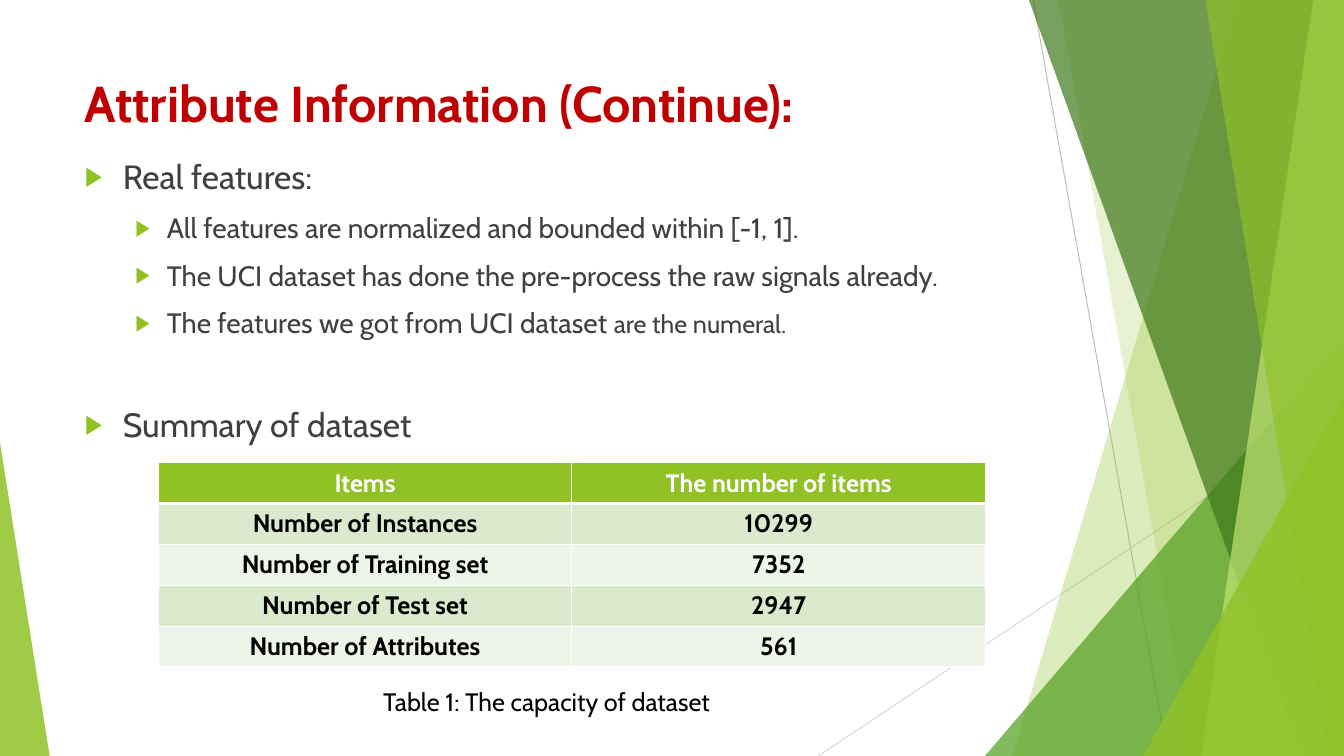
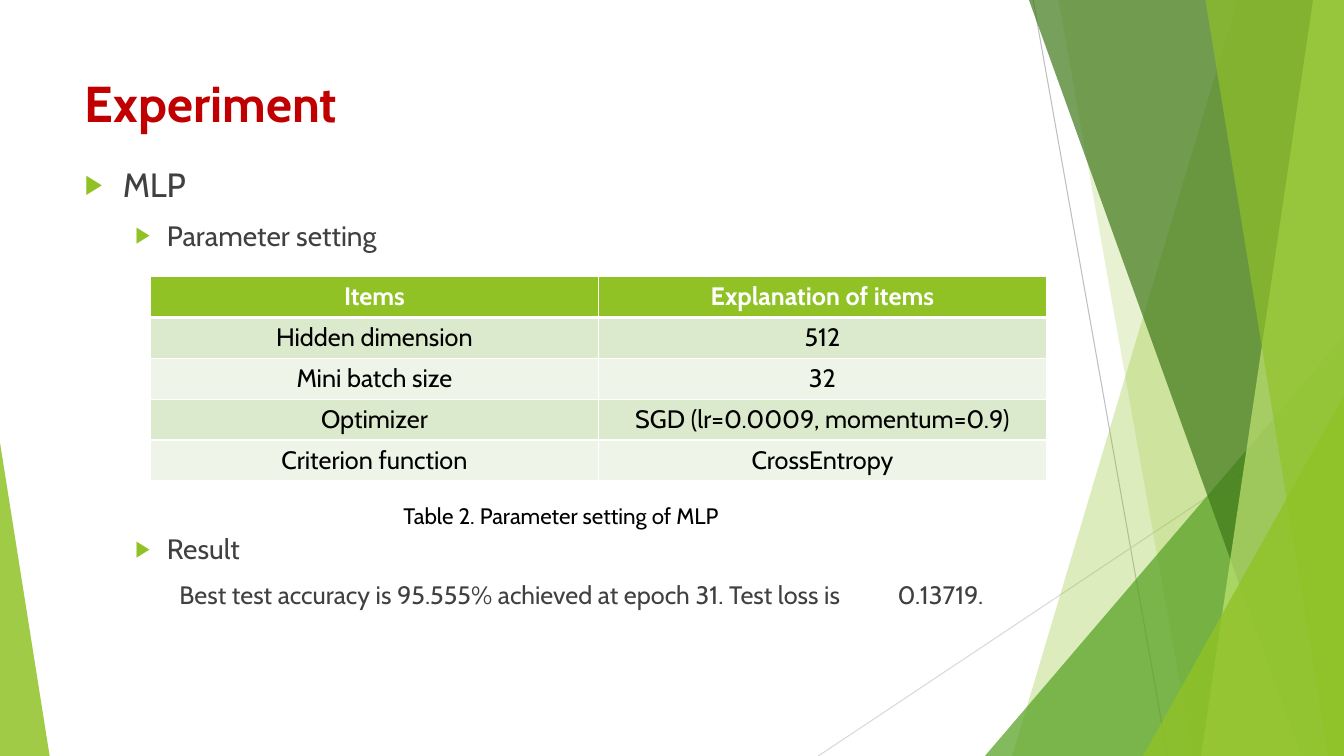
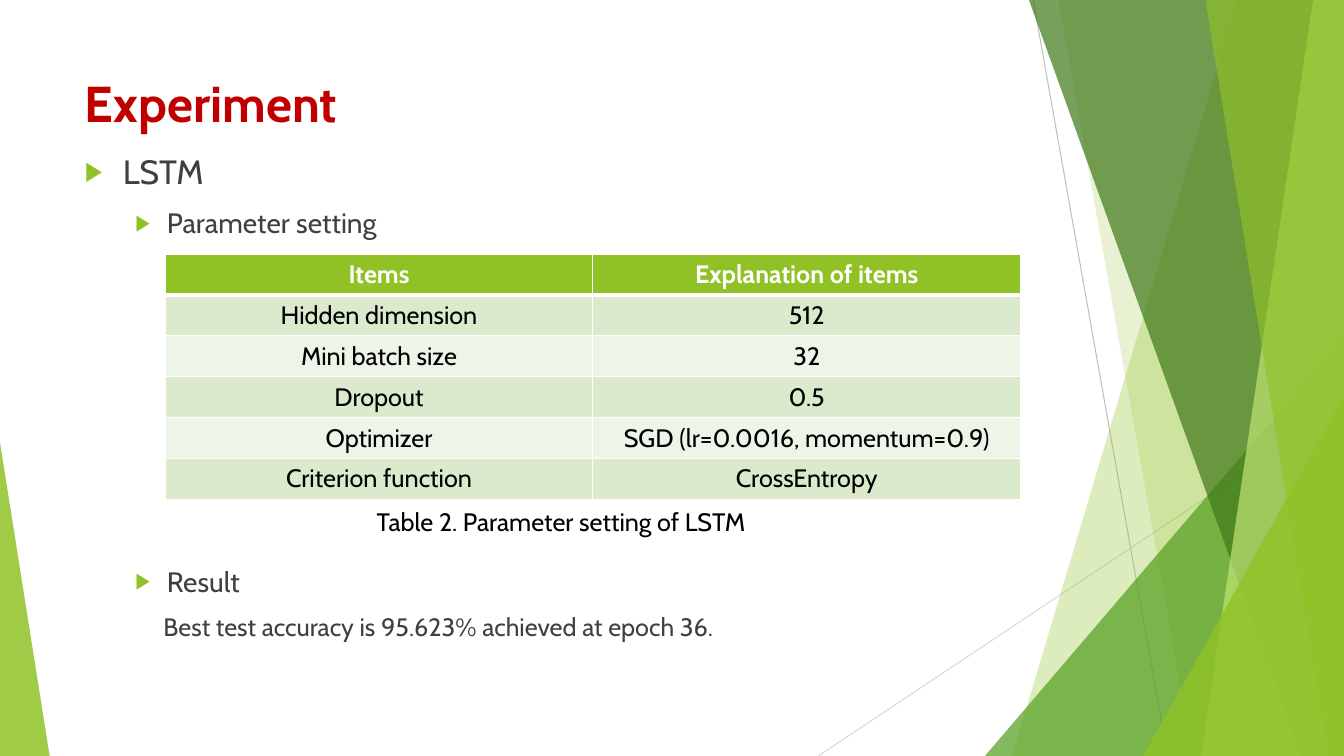
from dataclasses import dataclass

import lxml.etree
import pptx
import pptx.dml.color
import pptx.enum.shapes
import pptx.enum.text
import pptx.oxml.ns
import pptx.presentation
import pptx.slide
import pptx.table
import pptx.util

Pt = pptx.util.Pt
RGBColor = pptx.dml.color.RGBColor
qn = pptx.oxml.ns.qn

LIME = RGBColor(0x90, 0xC2, 0x26)
LEAF = RGBColor(0x54, 0xA0, 0x21)
PINE = RGBColor(0x3F, 0x78, 0x19)
PALE = RGBColor(0xC0, 0xE4, 0x74)
MINT = RGBColor(0xDB, 0xE9, 0xCD)
MIST = RGBColor(0xEE, 0xF4, 0xE8)
RED = RGBColor(0xC0, 0x00, 0x00)
INK = RGBColor(0x40, 0x40, 0x40)
BLACK = RGBColor(0x00, 0x00, 0x00)
WHITE = RGBColor(0xFF, 0xFF, 0xFF)
GRAY = RGBColor(0xBF, 0xBF, 0xBF)
SILVER = RGBColor(0xD9, 0xD9, 0xD9)

FONT = "Cabin"
WIDE, TALL = 960, 540
LEFT, SPAN = 53.5, 677
ROW = 29.2
HANG = ((27, -27), (58.5, -22.5))


@dataclass
class Ray:
    x1: float
    y1: float
    x2: float
    y2: float
    color: RGBColor


@dataclass
class Band:
    top: float
    base: float
    color: RGBColor
    alpha: int


@dataclass
class Peak:
    left: float
    top: float
    wide: float
    tall: float
    tip: float
    color: RGBColor
    alpha: int


@dataclass
class Bit:
    text: str
    size: float
    space: float = 0


@dataclass
class Item:
    level: int
    bits: list[Bit]
    before: float = 10
    indent: float | None = None


@dataclass
class Grid:
    left: float
    top: float
    wide: float
    rows: list[tuple[str, str]]
    bold: bool = False


@dataclass
class Note:
    left: float
    top: float
    wide: float
    bit: Bit


@dataclass
class Page:
    title: str
    head: float
    top: float
    tall: float
    items: list[Item]
    grid: Grid
    note: Note


ART = [
    Ray(738, 0, 834, 540, GRAY),
    Ray(960, 290, 584.5, 540, SILVER),
    Band(884, 723, LIME, 30),
    Band(756, 852, LIME, 20),
    Peak(703.5, 240, 256.5, 300, 1, LEAF, 72),
    Band(735, 929.5, PINE, 70),
    Band(938, 858, PALE, 70),
    Band(861, 949, LIME, 65),
    Peak(816.5, 283, 143.5, 257, 1, LIME, 80),
    Peak(0, 316, 35.5, 224, 0, LIME, 85),
]

PAGES = [
    Page(
        "Attribute Information (Continue):", 103.5, 108, 359,
        [
            Item(0, [Bit("Real features:", 24)]),
            Item(1, [Bit("All features are normalized and bounded within [-1, 1].", 20)]),
            Item(1, [Bit("The UCI dataset has done the pre-process the raw signals already.", 20)]),
            Item(1, [Bit("The features we got from UCI dataset ", 20), Bit("are the numeral.", 18)]),
            Item(0, [Bit("Summary of dataset", 24)], 46),
        ],
        Grid(113, 330.5, 591, [
            ("Items", "The number of items"),
            ("Number of Instances", "10299"),
            ("Number of Training set", "7352"),
            ("Number of Test set", "2947"),
            ("Number of Attributes", "561"),
        ], True),
        Note(266.5, 486.5, 453, Bit("Table 1: The capacity of dataset", 18)),
    ),
    Page(
        "Experiment", 54, 113.5, 362,
        [
            Item(0, [Bit("MLP", 24)]),
            Item(1, [Bit("Parameter setting", 20)]),
            Item(1, [Bit("Result", 20)], 200),
            Item(2, [
                Bit("Best test accuracy is 95.555% achieved at epoch 31. Test loss is", 18),
                Bit(" ", 18, 37),
                Bit("0.13719.", 18),
            ], 10, 67.5),
        ],
        Grid(107.5, 197.5, 640, [
            ("Items", "Explanation of items"),
            ("Hidden dimension", "512"),
            ("Mini batch size", "32"),
            ("Optimizer", "SGD (lr=0.0009, momentum=0.9)"),
            ("Criterion function", "CrossEntropy"),
        ]),
        Note(281, 355, 259, Bit("Table 2. Parameter setting of MLP", 16)),
    ),
    Page(
        "Experiment", 56, 104.5, 371.5,
        [
            Item(0, [Bit("LSTM", 24)]),
            Item(1, [Bit("Parameter setting", 20)]),
            Item(1, [Bit("Result", 20)], 232),
            Item(1, [Bit("Best test accuracy is 95.623% achieved at epoch 36.", 18)], 10, 56),
        ],
        Grid(118, 181.5, 611, [
            ("Items", "Explanation of items"),
            ("Hidden dimension", "512"),
            ("Mini batch size", "32"),
            ("Dropout", "0.5"),
            ("Optimizer", "SGD (lr=0.0016, momentum=0.9)"),
            ("Criterion function", "CrossEntropy"),
        ]),
        Note(262, 358, 380, Bit("Table 2. Parameter setting of LSTM", 18)),
    ),
]


def add_node(base, tag: str, **attrs: str):
    return lxml.etree.SubElement(base, qn(tag), attrs)


def add_bit(para, bit: Bit, color: RGBColor, bold: bool = False) -> None:
    run = para.add_run()
    run.text = bit.text
    run.font.name = FONT
    run.font.size = Pt(bit.size)
    run.font.bold = bold
    run.font.color.rgb = color
    if bit.space:
        run._r.get_or_add_rPr().set("spc", str(int(bit.space * 100)))


def place(shape, left: float, top: float, wide: float, tall: float) -> None:
    shape.left, shape.top = Pt(left), Pt(top)
    shape.width, shape.height = Pt(wide), Pt(tall)


def draw_ray(slide: pptx.slide.Slide, ray: Ray):
    line = slide.shapes.add_connector(
        pptx.enum.shapes.MSO_CONNECTOR.STRAIGHT,
        Pt(ray.x1), Pt(ray.y1), Pt(ray.x2), Pt(ray.y2))
    line.line.color.rgb = ray.color
    line.line.width = Pt(0.75)
    add_node(line.element.spPr, "a:effectLst")
    return line


def tint(shape, color: RGBColor, alpha: int) -> None:
    shape.shadow.inherit = False
    shape.line.fill.background()
    shape.fill.solid()
    shape.fill.fore_color.rgb = color
    tone = next(shape.element.iter(qn("a:srgbClr")))
    add_node(tone, "a:alpha", val=str(alpha * 1000))


def draw_band(slide: pptx.slide.Slide, band: Band):
    form = slide.shapes.build_freeform(Pt(band.top), Pt(0))
    ends = [(WIDE, 0), (WIDE, TALL), (band.base, TALL)]
    form.add_line_segments([(Pt(x), Pt(y)) for x, y in ends])
    shape = form.convert_to_shape()
    tint(shape, band.color, band.alpha)
    return shape


def draw_peak(slide: pptx.slide.Slide, peak: Peak):
    shape = slide.shapes.add_shape(
        pptx.enum.shapes.MSO_SHAPE.ISOSCELES_TRIANGLE,
        Pt(peak.left), Pt(peak.top), Pt(peak.wide), Pt(peak.tall))
    shape.adjustments[0] = peak.tip
    tint(shape, peak.color, peak.alpha)
    return shape


def draw_art(slide: pptx.slide.Slide) -> None:
    tools = {Ray: draw_ray, Band: draw_band, Peak: draw_peak}
    tree = slide.slide_layout.shapes.element
    for part in ART:
        tree.append(tools[type(part)](slide, part).element)


def set_frame(frame) -> None:
    frame.word_wrap = True
    frame.auto_size = pptx.enum.text.MSO_AUTO_SIZE.NONE
    frame.vertical_anchor = pptx.enum.text.MSO_ANCHOR.TOP


def add_title(slide: pptx.slide.Slide, page: Page) -> None:
    title = slide.shapes.title
    place(title, LEFT, 48, SPAN, page.head)
    set_frame(title.text_frame)
    para = title.text_frame.paragraphs[0]
    para.alignment = pptx.enum.text.PP_ALIGN.LEFT
    add_bit(para, Bit(page.title, 36), RED, True)


def add_item(para, item: Item) -> None:
    para.level = item.level
    para.space_before = Pt(item.before)
    props = para._p.get_or_add_pPr()
    plain = item.indent is not None
    left, hang = (item.indent, 0) if plain else HANG[item.level]
    props.set("marL", str(Pt(left)))
    props.set("indent", str(Pt(hang)))
    if plain:
        add_node(props, "a:buNone")
    else:
        add_node(add_node(props, "a:buClr"), "a:srgbClr", val=str(LIME))
        add_node(props, "a:buSzPct", val="80000")
        add_node(props, "a:buFont", typeface="Arial")
        add_node(props, "a:buChar", char="▶")
    for bit in item.bits:
        add_bit(para, bit, INK)


def add_body(slide: pptx.slide.Slide, page: Page) -> None:
    body = slide.placeholders[1]
    place(body, LEFT, page.top, SPAN, page.tall)
    frame = body.text_frame
    set_frame(frame)
    for i, item in enumerate(page.items):
        add_item(frame.add_paragraph() if i else frame.paragraphs[0], item)


def set_cell(cell, text: str, row: int, bold: bool) -> None:
    props = cell._tc.get_or_add_tcPr()
    sizes = {"L": 1, "R": 1, "T": 3 if row == 1 else 1, "B": 1 if row else 3}
    for side, size in sizes.items():
        edge = add_node(props, f"a:ln{side}", w=str(Pt(size)))
        add_node(add_node(edge, "a:solidFill"), "a:srgbClr", val=str(WHITE))
    cell.fill.solid()
    cell.fill.fore_color.rgb = (MINT if row % 2 else MIST) if row else LIME
    para = cell.text_frame.paragraphs[0]
    para.alignment = pptx.enum.text.PP_ALIGN.CENTER
    add_bit(para, Bit(text, 18), BLACK if row else WHITE, bold or not row)


def add_grid(slide: pptx.slide.Slide, grid: Grid) -> None:
    count = len(grid.rows)
    table = slide.shapes.add_table(
        count, 2, Pt(grid.left), Pt(grid.top), Pt(grid.wide), Pt(ROW * count)).table
    table.horz_banding = False
    for r, texts in enumerate(grid.rows):
        table.rows[r].height = Pt(ROW)
        for c, text in enumerate(texts):
            set_cell(table.cell(r, c), text, r, grid.bold)


def add_note(slide: pptx.slide.Slide, note: Note) -> None:
    box = slide.shapes.add_textbox(
        Pt(note.left), Pt(note.top), Pt(note.wide), Pt(note.bit.size * 1.6))
    box.text_frame.word_wrap = True
    add_bit(box.text_frame.paragraphs[0], note.bit, BLACK)


def main() -> None:
    deck = pptx.Presentation()
    deck.slide_width, deck.slide_height = Pt(WIDE), Pt(TALL)
    layout = deck.slide_layouts[1]
    for i, page in enumerate(PAGES):
        slide = deck.slides.add_slide(layout)
        if i == 0:
            draw_art(slide)
        add_title(slide, page)
        add_body(slide, page)
        add_grid(slide, page.grid)
        add_note(slide, page.note)
    deck.save("out.pptx")


if __name__ == "__main__":
    main()
